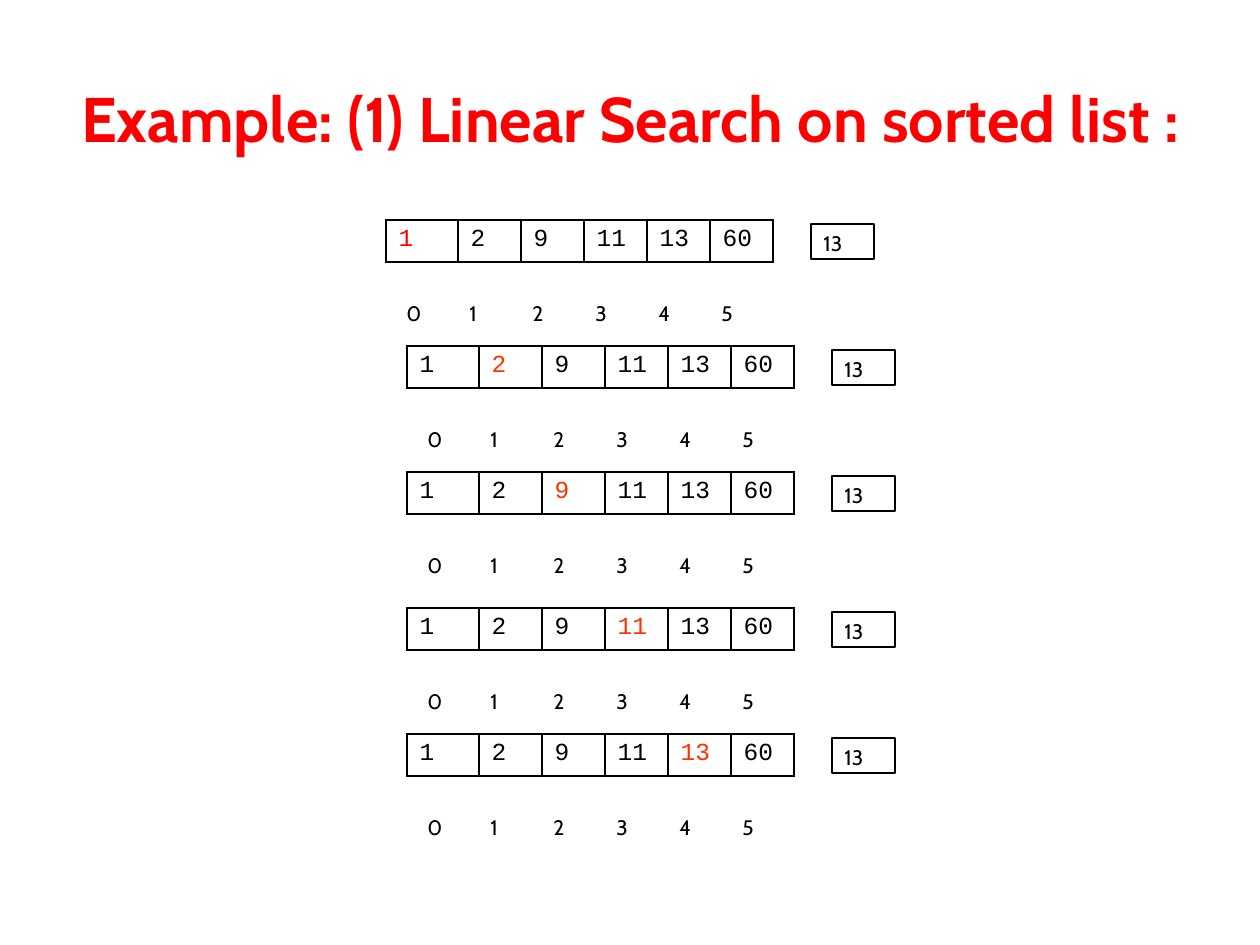
from lxml.etree import SubElement
from pptx import Presentation
from pptx.dml.color import RGBColor
from pptx.enum.shapes import MSO_SHAPE
from pptx.enum.text import MSO_ANCHOR, PP_ALIGN
from pptx.oxml.ns import qn
from pptx.util import Inches, Pt

SCALE = Inches(1) / 126
BLACK, WHITE, RED, ORANGE = "000000", "FFFFFF", "FF0000", "FF3300"
VALUES = [1, 2, 9, 11, 13, 60]
TARGET = 13
FIRST_COLUMN, COLUMN, ROW_HEIGHT = 72, 63, 42


def px(length):
    return round(length * SCALE)


def colour(value):
    return RGBColor.from_string(value)


def write(frame, text, size, font, ink, bold=False, align=PP_ALIGN.LEFT):
    para = frame.paragraphs[0]
    para.alignment = align
    span = para.add_run()
    span.text = str(text)
    span.font.size = Pt(size)
    span.font.name = font
    span.font.bold = bold
    span.font.color.rgb = colour(ink)


def add_title(page, left, top, width, height):
    title = page.shapes.title
    title.left, title.top = px(left), px(top)
    title.width, title.height = px(width), px(height)
    frame = title.text_frame
    frame.word_wrap = True
    frame.vertical_anchor = MSO_ANCHOR.MIDDLE
    write(frame, "Example: (1) Linear Search on sorted list :", 36, "Cabin", RED,
          bold=True, align=PP_ALIGN.CENTER)


def add_box(page, left, top, width, height, text, outlined=False):
    box = page.shapes.add_shape(MSO_SHAPE.RECTANGLE, px(left), px(top), px(width), px(height))
    box.shadow.inherit = False
    box.fill.solid()
    box.fill.fore_color.rgb = colour(WHITE)
    if outlined:
        box.line.color.rgb = colour(BLACK)
        box.line.width = Pt(0.75)
    else:
        box.line.fill.background()
    box.text_frame.word_wrap = True
    box.text_frame.vertical_anchor = MSO_ANCHOR.TOP
    write(box.text_frame, text, 12, "Cabin", BLACK)


def add_borders(cell):
    properties = cell._tc.get_or_add_tcPr()
    for side in ("a:lnL", "a:lnR", "a:lnT", "a:lnB"):
        border = SubElement(properties, qn(side), w=str(Pt(1)))
        fill = SubElement(border, qn("a:solidFill"))
        SubElement(fill, qn("a:srgbClr"), val=BLACK)


def add_list(page, left, top, current, highlight):
    width = FIRST_COLUMN + COLUMN * (len(VALUES) - 1)
    table = page.shapes.add_table(1, len(VALUES), px(left), px(top), px(width), px(ROW_HEIGHT)).table
    table.first_row = False
    table.horz_banding = False
    table.rows[0].height = px(ROW_HEIGHT)
    for index, value in enumerate(VALUES):
        table.columns[index].width = px(COLUMN if index else FIRST_COLUMN)
        cell = table.cell(0, index)
        add_borders(cell)
        cell.fill.background()
        cell.vertical_anchor = MSO_ANCHOR.TOP
        write(cell.text_frame, value, 14, "Courier New", highlight if index == current else BLACK)


def add_step(page, left, top, current, highlight):
    add_box(page, left + 425, top + 4, 63, 35, TARGET, outlined=True)
    add_list(page, left, top, current, highlight)
    for index in range(len(VALUES)):
        add_box(page, left + 8 + COLUMN * index, top + 74, 47, 31, index)


deck = Presentation()
deck.slide_width, deck.slide_height = Inches(10), Inches(7.5)
page = deck.slides.add_slide(deck.slide_layouts[5])
page.background.fill.solid()
page.background.fill.fore_color.rgb = colour(WHITE)
add_title(page, 63, 38, 1134, 158)
for current, top in enumerate([220, 346, 472, 608, 734]):
    add_step(page, 407 if current else 386, top, current, ORANGE if current else RED)
deck.save("out.pptx")
